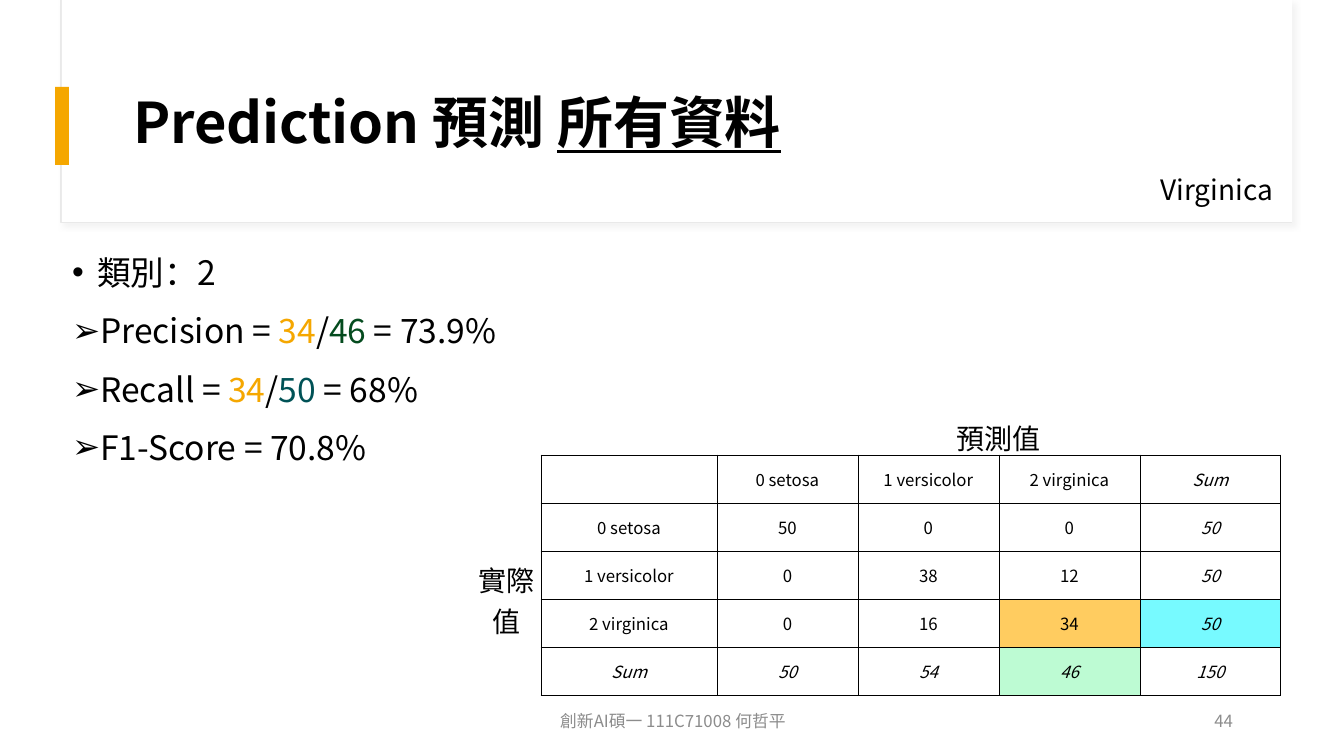
from lxml import etree
from pptx import Presentation
from pptx.dml.color import RGBColor
from pptx.enum.shapes import MSO_SHAPE
from pptx.enum.text import MSO_ANCHOR, MSO_AUTO_SIZE, PP_ALIGN
from pptx.oxml.ns import qn
from pptx.util import Emu, Pt

RECTANGLE = MSO_SHAPE.RECTANGLE
MIDDLE, TOP = MSO_ANCHOR.MIDDLE, MSO_ANCHOR.TOP
LEFT, CENTER, RIGHT = PP_ALIGN.LEFT, PP_ALIGN.CENTER, PP_ALIGN.RIGHT

FONT = "Noto Sans CJK SC"
BLACK = RGBColor(0x00, 0x00, 0x00)
WHITE = RGBColor(0xFF, 0xFF, 0xFF)
PANEL_EDGE = RGBColor(0xE9, 0xE9, 0xE9)
SHADOW = RGBColor(0xD9, 0xD9, 0xD9)
GRAY = RGBColor(0x8C, 0x8C, 0x8C)
ORANGE = RGBColor(0xF5, 0xA7, 0x00)
GREEN = RGBColor(0x04, 0x4B, 0x1E)
TEAL = RGBColor(0x00, 0x52, 0x56)
HIT_FILL = RGBColor(0xFF, 0xCC, 0x60)
ACTUAL_FILL = RGBColor(0x77, 0xFA, 0xFF)
PREDICTED_FILL = RGBColor(0xBD, 0xFB, 0xD3)

METRICS = [
    ("•", [("類別：2", BLACK)]),
    ("➢", [("Precision = ", BLACK), ("34", ORANGE), ("/", BLACK),
           ("46", GREEN), (" = 73.9%", BLACK)]),
    ("➢", [("Recall = ", BLACK), ("34", ORANGE), ("/", BLACK),
           ("50", TEAL), (" = 68%", BLACK)]),
    ("➢", [("F1-Score = 70.8%", BLACK)]),
]
CONFUSION = [
    ["", "0 setosa", "1 versicolor", "2 virginica", "Sum"],
    ["0 setosa", "50", "0", "0", "50"],
    ["1 versicolor", "0", "38", "12", "50"],
    ["2 virginica", "0", "16", "34", "50"],
    ["Sum", "50", "54", "46", "150"],
]
HIGHLIGHTS = {(3, 3): HIT_FILL, (3, 4): ACTUAL_FILL, (4, 3): PREDICTED_FILL}
COLUMN_WIDTHS = [68, 176, 141, 141, 141, 141]
ROW_HEIGHTS = [39, 48, 48, 48, 48, 48]


def px(length):
    return Emu(round(length * 914400 / 100.8))


def box(left, top, width, height):
    return px(left), px(top), px(width), px(height)


def place(shape, left, top, width, height):
    shape.left, shape.top, shape.width, shape.height = box(left, top, width, height)


def style(paragraph, size, color=BLACK, align=LEFT, bold=False, italic=False):
    paragraph.alignment = align
    font = paragraph.font
    font.name, font.size = FONT, Pt(size)
    font.bold, font.italic = bold, italic
    font.color.rgb = color
    # The East Asian typeface sits beside the Latin one
    defaults = paragraph._p.pPr.find(qn("a:defRPr"))
    etree.SubElement(defaults, qn("a:ea"), typeface=FONT)


def add_bullet(paragraph, char):
    properties = paragraph._p.pPr
    properties.set("marL", str(px(25)))
    properties.set("indent", str(-px(25)))
    bullet = etree.Element(qn("a:buChar"), char=char)
    properties.find(qn("a:defRPr")).addprevious(bullet)


def add_block(slide, bounds, fill, edge=None):
    block = slide.shapes.add_shape(RECTANGLE, *box(*bounds))
    block.shadow.inherit = False
    block.fill.solid()
    block.fill.fore_color.rgb = fill
    if edge is None:
        block.line.fill.background()
    else:
        block.line.color.rgb = edge
        block.line.width = Pt(0.75)
    return block


def add_soft_shadow(block):
    effects = block.element.spPr.find(qn("a:effectLst"))
    shadow = etree.SubElement(effects, qn("a:outerShdw"), blurRad=str(Pt(4)),
                              dist=str(Pt(3)), dir=str(45 * 60000), rotWithShape="0")
    color = etree.SubElement(shadow, qn("a:srgbClr"), val=str(SHADOW))
    etree.SubElement(color, qn("a:alpha"), val="30000")


def add_label(slide, bounds, text, size, color, align, anchor=MIDDLE):
    frame = slide.shapes.add_textbox(*box(*bounds)).text_frame
    frame.word_wrap = True
    frame.vertical_anchor = anchor
    paragraph = frame.paragraphs[0]
    paragraph.text = text
    style(paragraph, size, color, align)


def fill_title(title):
    title.element.getparent().append(title.element)  # in front of the panel
    place(title, 123, 60, 1121, 130)
    frame = title.text_frame
    frame.vertical_anchor = MIDDLE
    frame.auto_size = MSO_AUTO_SIZE.NONE
    paragraph = frame.paragraphs[0]
    paragraph.line_spacing = 0.9
    paragraph.add_run().text = "Prediction 預測 "
    scope = paragraph.add_run()
    scope.text = "所有資料"
    scope.font.underline = True
    style(paragraph, 40, bold=True)


def fill_metrics(body):
    body.element.getparent().append(body.element)
    place(body, 62, 243, 1121, 407)
    frame = body.text_frame
    frame.auto_size = MSO_AUTO_SIZE.NONE
    for index, (bullet, parts) in enumerate(METRICS):
        paragraph = frame.add_paragraph() if index else frame.paragraphs[0]
        paragraph.line_spacing = 1.1
        paragraph.space_before = Pt(10)
        for text, color in parts:
            run = paragraph.add_run()
            run.text = text
            if color != BLACK:
                run.font.color.rgb = color
        style(paragraph, 24)
        add_bullet(paragraph, bullet)


def set_borders(cell, black_sides):
    properties = cell._tc.get_or_add_tcPr()
    for position, side in enumerate("LRTB"):
        line = etree.Element(qn(f"a:ln{side}"), w=str(Pt(0.5)))
        if side in black_sides:
            fill = etree.SubElement(line, qn("a:solidFill"))
            etree.SubElement(fill, qn("a:srgbClr"), val=str(BLACK))
        else:
            etree.SubElement(line, qn("a:noFill"))
        properties.insert(position, line)


def fill_cell(cell, text, size=12, italic=False):
    cell.vertical_anchor = MIDDLE
    cell.margin_left = cell.margin_top = cell.margin_right = px(1)
    cell.margin_bottom = 0
    paragraph = cell.text_frame.paragraphs[0]
    paragraph.text = text
    style(paragraph, size, align=CENTER, italic=italic)


def add_confusion_table(slide):
    rows, columns = len(ROW_HEIGHTS), len(COLUMN_WIDTHS)
    bounds = box(473, 416, sum(COLUMN_WIDTHS), sum(ROW_HEIGHTS))
    table = slide.shapes.add_table(rows, columns, *bounds).table
    table.first_row = table.horz_banding = False
    for column, width in zip(table.columns, COLUMN_WIDTHS):
        column.width = px(width)
    for row, height in zip(table.rows, ROW_HEIGHTS):
        row.height = px(height)

    # Outer labels border the grid on one side only
    for r in range(rows):
        for c in range(columns):
            cell = table.cell(r, c)
            cell.fill.background()
            in_grid = r > 0 and c > 0
            set_borders(cell, "LRTB" if in_grid else "B" if c else "R" if r else "")
            if not in_grid:
                fill_cell(cell, "")

    # Counts and their sums
    for r, values in enumerate(CONFUSION):
        for c, value in enumerate(values):
            cell = table.cell(r + 1, c + 1)
            fill_cell(cell, value, italic="Sum" in (values[0], CONFUSION[0][c]))
            if (r, c) in HIGHLIGHTS:
                cell.fill.solid()
                cell.fill.fore_color.rgb = HIGHLIGHTS[r, c]

    # Axis names
    predicted = table.cell(0, 2)
    predicted.merge(table.cell(0, columns - 1))
    fill_cell(predicted, "預測值", 20)
    actual = table.cell(2, 0)
    actual.merge(table.cell(rows - 1, 0))
    fill_cell(actual, "實際值", 20)
    actual._tc.tcPr.set("vert", "eaVert")


def main():
    deck = Presentation()
    deck.slide_width, deck.slide_height = px(1344), px(756)
    slide = deck.slides.add_slide(deck.slide_layouts[1])

    # Header panel with accent bar
    add_soft_shadow(add_block(slide, (61, 0, 1231, 223), WHITE, PANEL_EDGE))
    add_block(slide, (62, 0, 1230, 222), WHITE)
    add_block(slide, (55, 87, 14, 78), ORANGE)

    # Title and metrics
    fill_title(slide.shapes.title)
    fill_metrics(slide.placeholders[1])

    # Class name, page number and footer
    add_label(slide, (1085, 168, 198, 44), "Virginica", 20, BLACK, RIGHT, TOP)
    add_label(slide, (941, 701, 302, 40), "44", 12, GRAY, RIGHT)
    add_label(slide, (446, 701, 454, 40), "創新AI碩一 111C71008 何哲平", 12, GRAY, CENTER)

    add_confusion_table(slide)
    deck.save("out.pptx")


if __name__ == "__main__":
    main()
